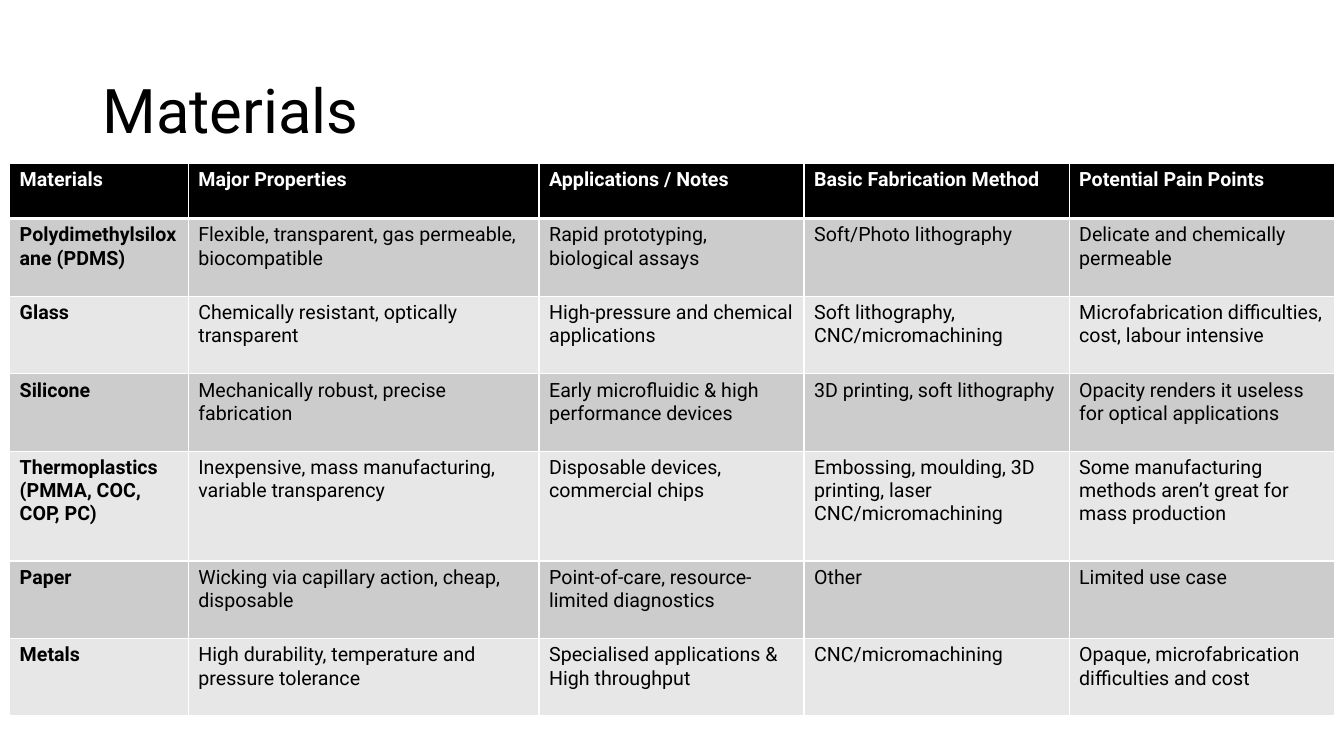
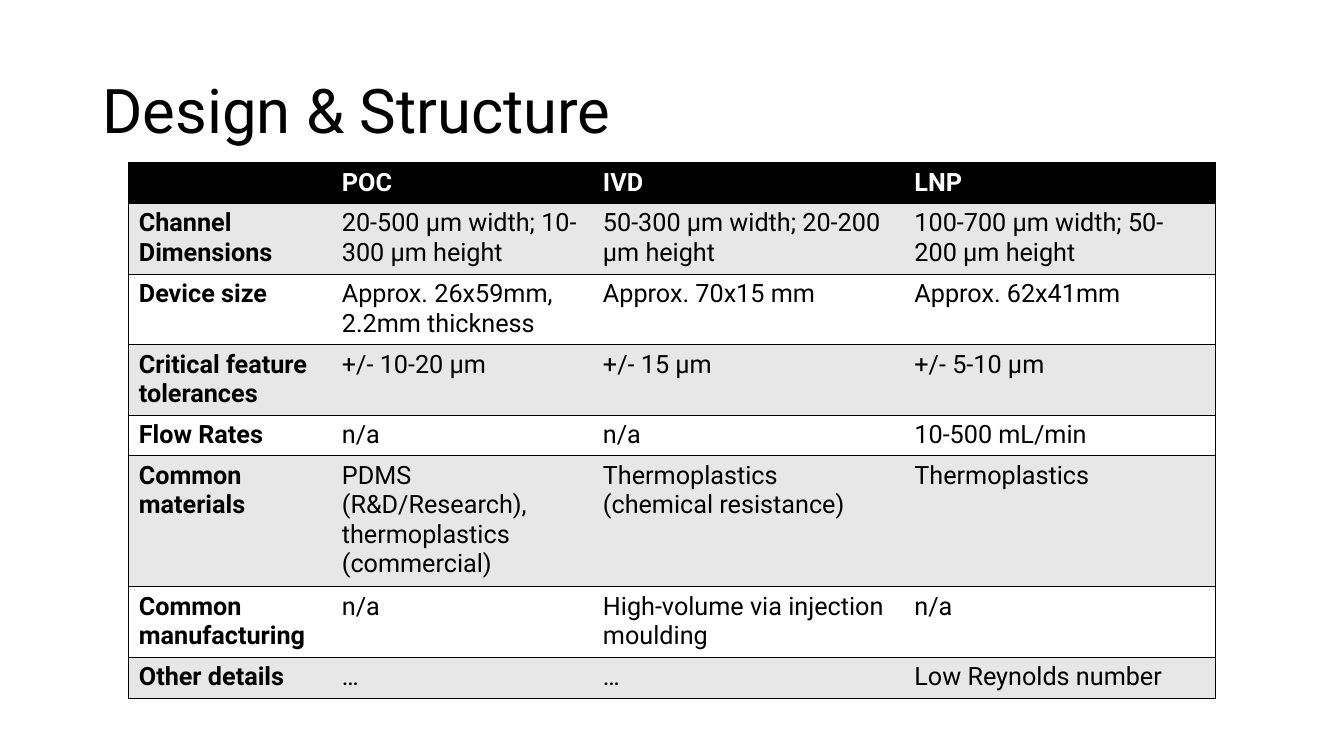
from dataclasses import dataclass

from lxml import etree
from pptx import Presentation
from pptx.dml.color import RGBColor
from pptx.enum.text import MSO_ANCHOR
from pptx.oxml.ns import qn
from pptx.util import Pt

MIDDLE = MSO_ANCHOR.MIDDLE
BLANK = 6


@dataclass(frozen=True)
class Theme:
    font: str = "Roboto"
    ink: str = "000000"
    paper: str = "FFFFFF"
    light: str = "E7E7E7"
    mid: str = "CCCCCC"
    title: int = 44
    small: int = 14
    body: int = 18
    thin: int = 1
    thick: int = 3


THEME = Theme()
TITLE_BOX = (66.2, 28.8, 828, 104.4)


@dataclass(frozen=True)
class Style:
    size: int
    bands: tuple
    line: str
    head_line: int
    inner: bool


GRID = Style(THEME.small, (THEME.mid, THEME.light), THEME.paper, THEME.thick, True)
RULED = Style(THEME.body, (THEME.light, THEME.paper), THEME.ink, THEME.thin, False)

MATERIALS = [
    ["Materials", "Major Properties", "Applications / Notes",
     "Basic Fabrication Method", "Potential Pain Points"],
    ["Polydimethylsiloxane (PDMS)", "Flexible, transparent, gas permeable, biocompatible",
     "Rapid prototyping, biological assays", "Soft/Photo lithography",
     "Delicate and chemically permeable"],
    ["Glass", "Chemically resistant, optically transparent",
     "High-pressure and chemical applications", "Soft lithography, CNC/micromachining",
     "Microfabrication difficulties, cost, labour intensive"],
    ["Silicone", "Mechanically robust, precise fabrication",
     "Early microfluidic & high performance devices", "3D printing, soft lithography",
     "Opacity renders it useless for optical applications"],
    ["Thermoplastics (PMMA, COC, COP, PC)",
     "Inexpensive, mass manufacturing, variable transparency",
     "Disposable devices, commercial chips",
     "Embossing, moulding, 3D printing, laser CNC/micromachining",
     "Some manufacturing methods aren’t great for mass production"],
    ["Paper", "Wicking via capillary action, cheap, disposable",
     "Point-of-care, resource-limited diagnostics", "Other", "Limited use case"],
    ["Metals", "High durability, temperature and pressure tolerance",
     "Specialised applications & High throughput", "CNC/micromachining",
     "Opaque, microfabrication difficulties and cost"],
]

DESIGN = [
    ["", "POC", "IVD", "LNP"],
    ["Channel Dimensions", "20-500 µm width; 10-300 µm height",
     "50-300 µm width; 20-200 µm height", "100-700 µm width; 50-200 µm height"],
    ["Device size", "Approx. 26x59mm, 2.2mm thickness", "Approx. 70x15 mm",
     "Approx. 62x41mm"],
    ["Critical feature tolerances", "+/- 10-20 µm", "+/- 15 µm", "+/- 5-10 µm"],
    ["Flow Rates", "n/a", "n/a", "10-500 mL/min"],
    ["Common materials", "PDMS (R&D/Research), thermoplastics (commercial)",
     "Thermoplastics (chemical resistance)", "Thermoplastics"],
    ["Common manufacturing", "n/a", "High-volume via injection moulding", "n/a"],
    ["Other details", "…", "…", "Low Reynolds number"],
]


def add_run(para, text, size, color, bold=False):
    run = para.add_run()
    run.text = text
    run.font.name = THEME.font
    run.font.size = Pt(size)
    run.font.bold = bold
    run.font.color.rgb = RGBColor.from_string(color)


def add_title(slide, box, text):
    frame = slide.shapes.add_textbox(*map(Pt, box)).text_frame
    frame.word_wrap = True
    frame.vertical_anchor = MIDDLE
    para = frame.paragraphs[0]
    para.line_spacing = 0.9
    add_run(para, text, THEME.title, THEME.ink)


def add_edge(cell, side, width, color):
    line = etree.SubElement(cell._tc.get_or_add_tcPr(), qn(f"a:ln{side}"), w=str(Pt(width)))
    if width:
        fill = etree.SubElement(line, qn("a:solidFill"))
        etree.SubElement(fill, qn("a:srgbClr"), val=color)
    else:
        etree.SubElement(line, qn("a:noFill"))


def fill_cell(cell, text, style, row, col, last):
    head = row == 0
    thin = THEME.thin
    edges = {
        "L": thin if style.inner or col == 0 else 0,
        "R": thin if style.inner or col == last else 0,
        "T": style.head_line if row == 1 else thin,
        "B": style.head_line if head else thin,
    }
    for side, width in edges.items():
        add_edge(cell, side, width, style.line)
    back = THEME.ink if head else style.bands[(row - 1) % 2]
    cell.fill.solid()
    cell.fill.fore_color.rgb = RGBColor.from_string(back)
    if text:
        color = THEME.paper if head else THEME.ink
        add_run(cell.text_frame.paragraphs[0], text, style.size, color, head or col == 0)


def add_grid(slide, spot, cols, rows, data, style):
    box = (*spot, sum(cols), sum(rows))
    table = slide.shapes.add_table(len(rows), len(cols), *map(Pt, box)).table
    table.first_row = table.horz_banding = False
    for item, width in zip(table.columns, cols):
        item.width = Pt(width)
    for item, height in zip(table.rows, rows):
        item.height = Pt(height)
    for row, texts in enumerate(data):
        for col, text in enumerate(texts):
            fill_cell(table.cell(row, col), text, style, row, col, len(cols) - 1)


def add_page(deck, title, *grid):
    slide = deck.slides.add_slide(deck.slide_layouts[BLANK])
    add_title(slide, TITLE_BOX, title)
    add_grid(slide, *grid)


def main():
    deck = Presentation()
    deck.slide_width, deck.slide_height = Pt(960), Pt(540)
    add_page(deck, "Materials", (6.9, 116.8), [127.6, 250.6] + [189.3] * 3,
             [39.4] + [55.4] * 3 + [78.4] + [55.4] * 2, MATERIALS, GRID)
    add_page(deck, "Design & Structure", (92, 116.2), [145, 186.5, 222.5, 222.5],
             [29.2] + [49.4] * 3 + [28.4, 91.6, 49.4, 29.2], DESIGN, RULED)
    deck.save("out.pptx")


if __name__ == "__main__":
    main()
